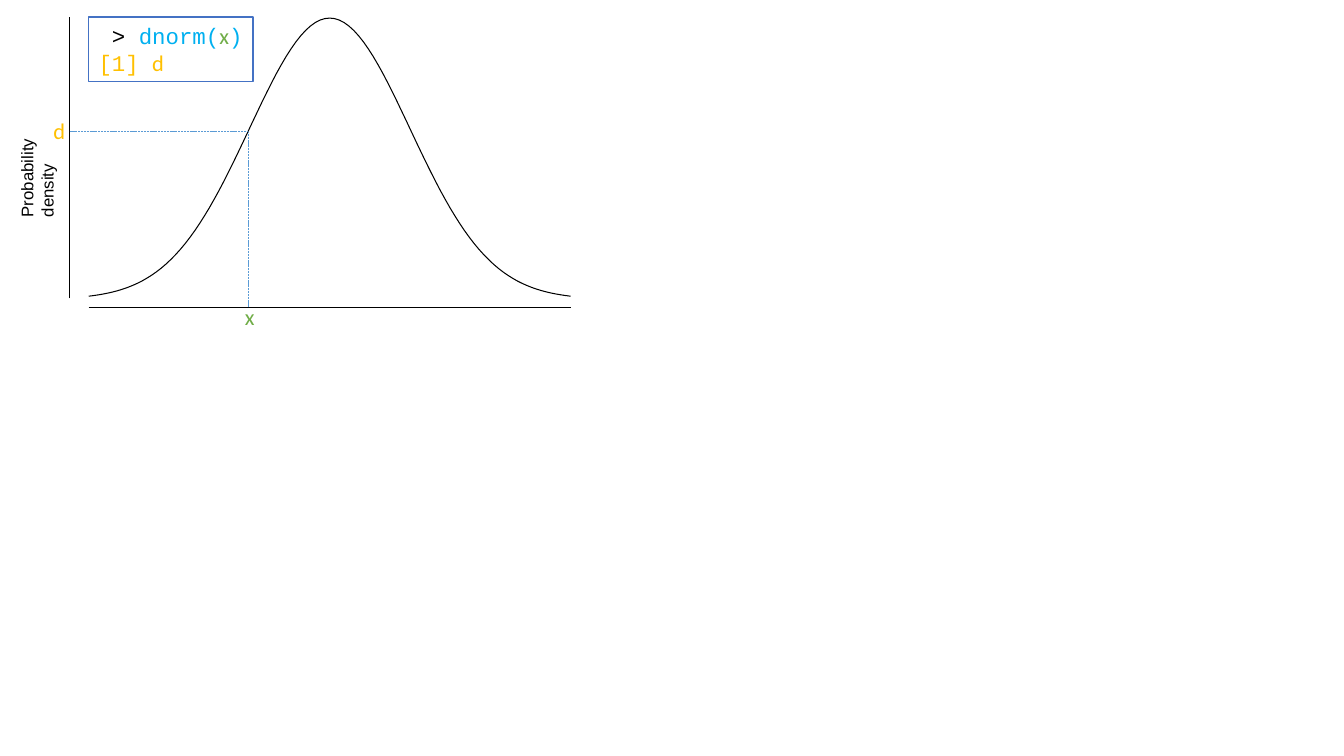
from math import exp

from pptx import Presentation
from pptx.dml.color import RGBColor
from pptx.enum.dml import MSO_LINE
from pptx.enum.shapes import MSO_CONNECTOR, MSO_SHAPE
from pptx.enum.text import MSO_ANCHOR, PP_ALIGN
from pptx.oxml.ns import qn
from pptx.util import Inches, Pt
from lxml.etree import SubElement

BLACK, WHITE, BLUE = "000000", "FFFFFF", "4472C4"
CYAN, GREEN, GOLD, GUIDE = "00B0F0", "70AD47", "FFC000", "5B9BD5"
CODE, BODY, LABEL = "Courier New", "Calibri", "Arial"

LEFT, RIGHT, AXIS_ROW, AXIS_COLUMN = 8.8, 56.6, 30.5, 6.9
MEAN = (LEFT + RIGHT) / 2
DEVIATION = (RIGHT - LEFT) / 6
BASE_ROW, PEAK = 29.7, 27.9
STEPS = 100
QUANTILE = 24.6


def grid(*cells):
    """Convert counts of tenth-inch columns or rows to slide lengths."""
    return [Inches(cell / 10) for cell in cells]


def color(value):
    """Return the colour for a hex string."""
    return RGBColor.from_string(value)


def density_row(column):
    """Return the row of the normal curve at a column."""
    return BASE_ROW - PEAK * exp(-(((column - MEAN) / DEVIATION) ** 2) / 2)


def add_run(paragraph, text, font=BODY, size=16, fill=BLACK):
    """Append formatted text to a paragraph."""
    run = paragraph.add_run()
    run.text = text
    run.font.name = font
    run.font.size = Pt(size)
    run.font.color.rgb = color(fill)


def add_label(slide, text, box, rotation=0, wrap=False, inset=True, **style):
    """Add a text box holding one formatted label."""
    shape = slide.shapes.add_textbox(*grid(*box))
    shape.rotation = rotation
    frame = shape.text_frame
    frame.word_wrap = wrap
    if not inset:
        frame.margin_left = frame.margin_right = 0
        frame.margin_top = frame.margin_bottom = 0
    add_run(frame.paragraphs[0], text, **style)


def add_line(slide, start, end, stroke=BLACK, width=0.75, dash=None):
    """Add a straight line between two grid points."""
    line = slide.shapes.add_connector(
        MSO_CONNECTOR.STRAIGHT, *grid(*start, *end))
    line.line.color.rgb = color(stroke)
    line.line.width = Pt(width)
    if dash:
        line.line.dash_style = dash
    SubElement(line._element.spPr, qn("a:effectLst"))


def add_curve(slide):
    """Draw the normal density across three deviations on each side."""
    columns = [LEFT + (RIGHT - LEFT) * step / STEPS
               for step in range(STEPS + 1)]
    points = [grid(column, density_row(column)) for column in columns]
    builder = slide.shapes.build_freeform(*points[0])
    builder.add_line_segments(points[1:], close=False)
    curve = builder.convert_to_shape()
    curve.fill.background()
    curve.line.color.rgb = color(BLACK)
    curve.line.width = Pt(0.75)
    curve.shadow.inherit = False


def add_code_box(slide, box, lines):
    """Add a framed box with lines of coloured code."""
    shape = slide.shapes.add_shape(MSO_SHAPE.RECTANGLE, *grid(*box))
    shape.fill.solid()
    shape.fill.fore_color.rgb = color(WHITE)
    shape.line.color.rgb = color(BLUE)
    shape.line.width = Pt(1)
    shape.shadow.inherit = False
    frame = shape.text_frame
    frame.word_wrap = True
    frame.vertical_anchor = MSO_ANCHOR.TOP
    for index, runs in enumerate(lines):
        paragraph = frame.add_paragraph() if index else frame.paragraphs[0]
        paragraph.alignment = PP_ALIGN.LEFT
        for text, font, fill in runs:
            add_run(paragraph, text, font=font, fill=fill)


def main():
    """Build the slide on the normal density function."""
    presentation = Presentation()
    presentation.slide_width = Inches(13.33)
    presentation.slide_height = Inches(7.5)
    slide = presentation.slides.add_slide(presentation.slide_layouts[6])

    add_curve(slide)
    add_line(slide, (LEFT, AXIS_ROW), (RIGHT, AXIS_ROW))
    add_line(slide, (AXIS_COLUMN, 29.6), (AXIS_COLUMN, 1.7))
    add_label(slide, "Probability density", (-3.7, 14.8, 12.1, 1.4),
              rotation=270, wrap=True, inset=False, font=LABEL, size=12)

    point = (QUANTILE, density_row(QUANTILE))
    for foot in ((QUANTILE, AXIS_ROW), (AXIS_COLUMN, point[1])):
        add_line(slide, foot, point, stroke=GUIDE, width=0.5,
                 dash=MSO_LINE.SQUARE_DOT)

    add_code_box(slide, (LEFT, 1.7, 16.3, 6.4), [
        [(" > ", CODE, BLACK), ("dnorm(", CODE, CYAN),
         ("x", BODY, GREEN), (")", CODE, CYAN)],
        [("[1] ", CODE, GOLD), ("d", BODY, GOLD)],
    ])
    add_label(slide, "x", (23.3, 29.6, 3, 3.7), fill=GREEN)
    add_label(slide, "d", (4.3, 11.1, 3.2, 3.7), fill=GOLD)
    presentation.save("out.pptx")


main()
